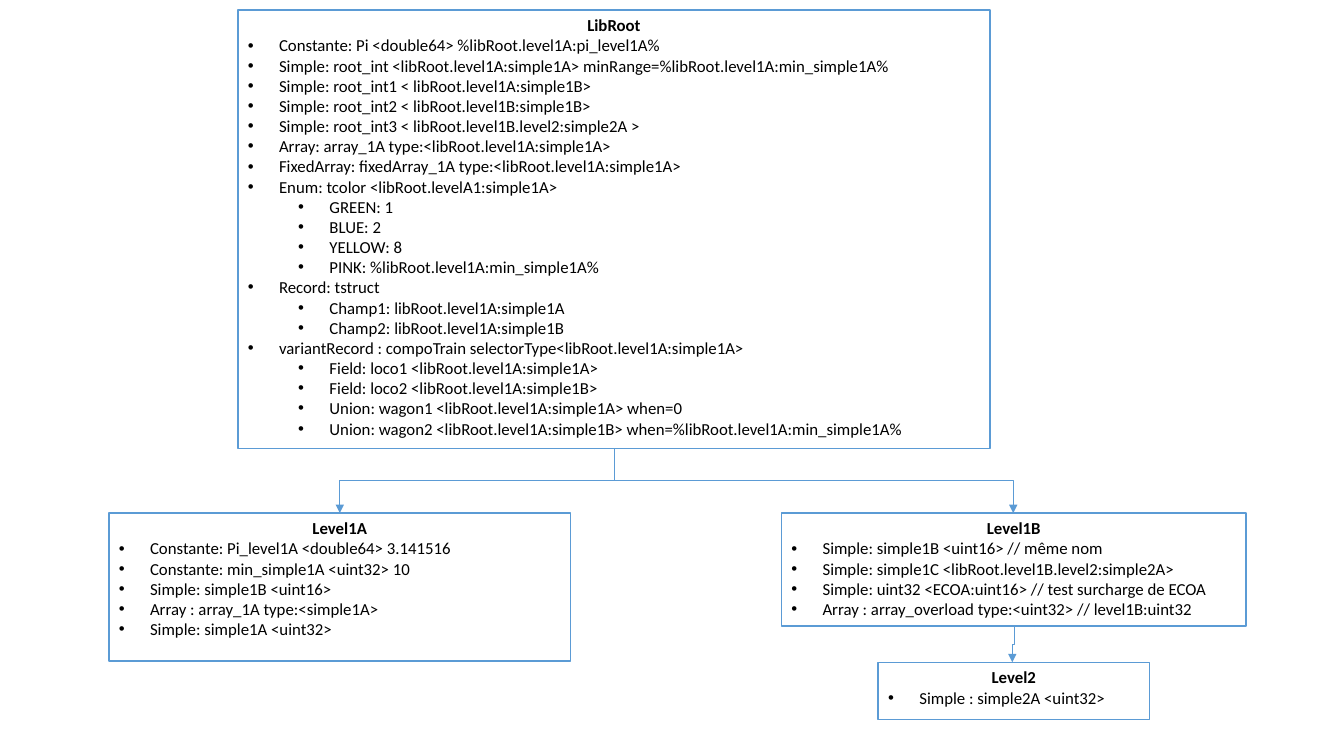
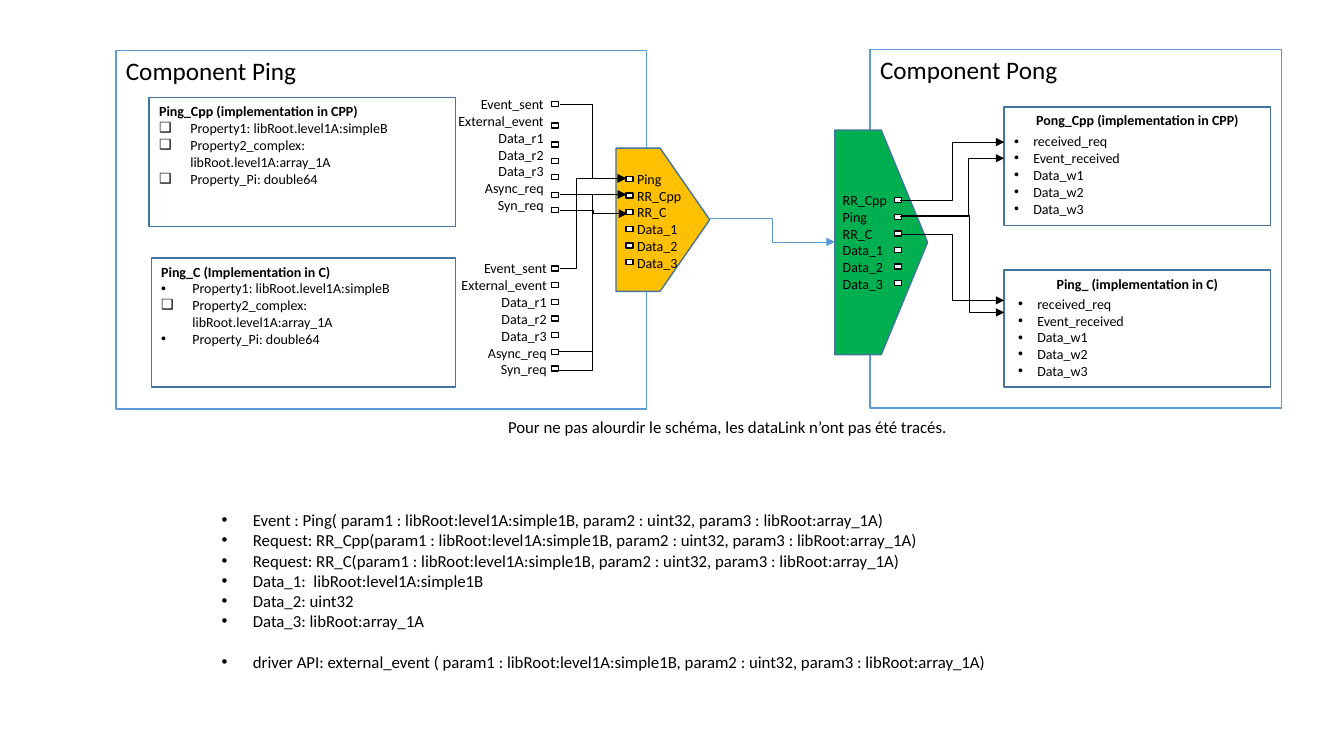
from lxml.etree import SubElement
from pptx import Presentation
from pptx.dml.color import RGBColor
from pptx.enum.shapes import MSO_CONNECTOR, MSO_SHAPE
from pptx.enum.text import MSO_ANCHOR, PP_ALIGN
from pptx.oxml.ns import qn
from pptx.util import Inches, Pt

FONT = "Calibri"
BLACK, WHITE = "000000", "FFFFFF"
BLUE, NAVY = "5B9BD5", "43739E"
ORANGE, GREEN = "FFC000", "00B050"
DOT, SQUARE = "•", "❑"
LIST_INDENT, NARROW_INDENT, LEVEL_STEP = 0.31, 0.19, 0.5
PORT_WIDTH, PORT_HEIGHT, PORT_PITCH = 0.07, 0.05, 0.165

LIBROOT = [
    "Constante: Pi <double64> %libRoot.level1A:pi_level1A%",
    "Simple: root_int <libRoot.level1A:simple1A> minRange=%libRoot.level1A:min_simple1A%",
    "Simple: root_int1 < libRoot.level1A:simple1B>",
    "Simple: root_int2 < libRoot.level1B:simple1B>",
    "Simple: root_int3 < libRoot.level1B.level2:simple2A >",
    "Array: array_1A type:<libRoot.level1A:simple1A>",
    "FixedArray: fixedArray_1A type:<libRoot.level1A:simple1A>",
    "Enum: tcolor <libRoot.levelA1:simple1A>",
    ["GREEN: 1", "BLUE: 2", "YELLOW: 8", "PINK: %libRoot.level1A:min_simple1A%"],
    "Record: tstruct",
    ["Champ1: libRoot.level1A:simple1A", "Champ2: libRoot.level1A:simple1B"],
    "variantRecord : compoTrain selectorType<libRoot.level1A:simple1A>",
    [
        "Field: loco1 <libRoot.level1A:simple1A>",
        "Field: loco2 <libRoot.level1A:simple1B>",
        "Union: wagon1 <libRoot.level1A:simple1A> when=0",
        "Union: wagon2 <libRoot.level1A:simple1B> when=%libRoot.level1A:min_simple1A%",
    ],
]
LEVEL1A = [
    "Constante: Pi_level1A <double64> 3.141516",
    "Constante: min_simple1A <uint32> 10",
    "Simple: simple1B <uint16>",
    "Array : array_1A type:<simple1A>",
    "Simple: simple1A <uint32>",
]
LEVEL1B = [
    "Simple: simple1B <uint16> // même nom",
    "Simple: simple1C <libRoot.level1B.level2:simple2A>",
    "Simple: uint32 <ECOA:uint16> // test surcharge de ECOA",
    "Array : array_overload type:<uint32> // level1B:uint32",
]
LEVEL2 = ["Simple : simple2A <uint32>"]

PROPERTIES = [
    "Property1: libRoot.level1A:simpleB",
    "Property2_complex: libRoot.level1A:array_1A",
    "Property_Pi: double64",
]
PING_SERVICES = ["Event_sent", "External_event", "Data_r1", "Data_r2", "Data_r3",
                 "Async_req", "Syn_req"]
PONG_SERVICES = ["received_req", "Event_received", "Data_w1", "Data_w2", "Data_w3"]
DATA = ["Data_1", "Data_2", "Data_3"]
OPERATIONS = [
    "Event : Ping( param1 : libRoot:level1A:simple1B, param2 : uint32, param3 : libRoot:array_1A)",
    "Request: RR_Cpp(param1 : libRoot:level1A:simple1B, param2 : uint32, param3 : libRoot:array_1A)",
    "Request: RR_C(param1 : libRoot:level1A:simple1B, param2 : uint32, param3 : libRoot:array_1A)",
    "Data_1:  libRoot:level1A:simple1B",
    "Data_2: uint32",
    "Data_3: libRoot:array_1A",
]
DRIVER = ("driver API: external_event ( param1 : libRoot:level1A:simple1B, "
          "param2 : uint32, param3 : libRoot:array_1A)")


def color(value):
    return RGBColor.from_string(value)


def write(shape, text, size=12, bold=False, align=PP_ALIGN.LEFT, mark=None,
          level=0, indent=LIST_INDENT, before=0):
    frame = shape.text_frame
    paragraph = frame.paragraphs[0]
    if paragraph.runs:
        paragraph = frame.add_paragraph()
    paragraph.alignment = align
    paragraph.level = level
    paragraph.space_before = Pt(before)
    run = paragraph.add_run()
    run.text = text
    run.font.name = FONT
    run.font.size = Pt(size)
    run.font.bold = bold
    run.font.color.rgb = color(BLACK)
    if mark:
        properties = paragraph._p.get_or_add_pPr()
        properties.set("marL", str(Inches(indent + LEVEL_STEP * level)))
        properties.set("indent", str(-Inches(indent)))
        SubElement(properties, qn("a:buFont")).set("typeface", "Arial")
        SubElement(properties, qn("a:buChar")).set("char", mark)


def write_list(shape, items, level=0, **style):
    for item in items:
        if isinstance(item, list):
            write_list(shape, item, level + 1, **style)
        else:
            write(shape, item, level=level, **style)


def add_box(slide, position, fill=None, line=BLUE, kind=MSO_SHAPE.RECTANGLE):
    shape = slide.shapes.add_shape(kind, *map(Inches, position))
    shape.shadow.inherit = False
    if fill:
        shape.fill.solid()
        shape.fill.fore_color.rgb = color(fill)
    else:
        shape.fill.background()
    shape.line.color.rgb = color(line)
    shape.line.width = Pt(1)
    shape.text_frame.word_wrap = True
    shape.text_frame.vertical_anchor = MSO_ANCHOR.TOP
    return shape


def add_text(slide, position, items, **style):
    shape = slide.shapes.add_textbox(*map(Inches, position))
    shape.text_frame.word_wrap = True
    write_list(shape, items, **style)
    return shape


def add_library(slide, position, title, items):
    shape = add_box(slide, position, fill=WHITE)
    write(shape, title, bold=True, align=PP_ALIGN.CENTER)
    write_list(shape, items, mark=DOT)


def add_component(slide, position, title):
    write(add_box(slide, position), title, size=18)


def add_ping_implementation(slide, position, title, marks):
    shape = add_box(slide, position, line=NAVY)
    write(shape, title, size=10, bold=True)
    for text, mark in zip(PROPERTIES, marks):
        write(shape, text, size=10, mark=mark)


def add_pong_implementation(slide, position, title, list_position):
    shape = add_box(slide, position, line=NAVY)
    write(shape, title, size=10, bold=True, align=PP_ALIGN.CENTER)
    add_text(slide, list_position, PONG_SERVICES, size=10, mark=DOT, indent=NARROW_INDENT)


def add_gate(slide, position, fill, point):
    shape = add_box(slide, position, fill, NAVY, MSO_SHAPE.PENTAGON)
    shape.adjustments[0] = point


def pitched(top, count):
    return [top + PORT_PITCH * row for row in range(count)]


def add_ports(slide, left, tops):
    for top in tops:
        add_box(slide, (left, top, PORT_WIDTH, PORT_HEIGHT), WHITE, BLACK)


def add_elbow(slide, start, end, line=BLACK, bend=0.5, vertical=False):
    points = [start, end]
    turn = 1 if end[0] < start[0] else -1
    if vertical:
        middle_x, middle_y = (start[0] + end[0]) / 2, (start[1] + end[1]) / 2
        points = [(middle_x + turn * (y - middle_y), middle_y - turn * (x - middle_x))
                  for x, y in points]
    connector = slide.shapes.add_connector(
        MSO_CONNECTOR.ELBOW, *[Inches(value) for point in points for value in point])
    connector.line.color.rgb = color(line)
    connector.line.width = Pt(0.5)
    properties = connector._element.spPr
    if vertical:
        properties.find(qn("a:xfrm")).set("rot", str(turn * 90 % 360 * 60000))
    guides = properties.find(qn("a:prstGeom")).find(qn("a:avLst"))
    guide = SubElement(guides, qn("a:gd"))
    guide.set("name", "adj1")
    guide.set("fmla", f"val {round(bend * 100000)}")
    SubElement(properties.find(qn("a:ln")), qn("a:tailEnd")).set("type", "triangle")
    SubElement(properties, qn("a:effectLst"))


def build_library_slide(slide):
    add_library(slide, (8.71, 6.57, 2.69, 0.57), "Level2", LEVEL2)
    add_library(slide, (7.75, 5.09, 4.61, 1.12), "Level1B", LEVEL1B)
    add_library(slide, (1.08, 5.09, 4.58, 1.47), "Level1A", LEVEL1A)
    add_library(slide, (2.36, 0.1, 7.46, 4.35), "LibRoot", LIBROOT)
    for start, end in [((6.09, 4.45), (3.37, 5.09)),
                       ((6.09, 4.45), (10.05, 5.09)),
                       ((10.06, 6.22), (10.04, 6.57))]:
        add_elbow(slide, start, end, BLUE, vertical=True)


def build_component_slide(slide):
    add_component(slide, (1.15, 0.5, 5.26, 3.56), "Component Ping")
    add_component(slide, (8.63, 0.49, 4.08, 3.56), "Component Pong")
    add_ping_implementation(slide, (1.48, 0.97, 3.04, 1.28),
                            "Ping_Cpp (implementation in CPP)", [SQUARE] * 3)
    add_ping_implementation(slide, (1.5, 2.56, 3.02, 1.28),
                            "Ping_C (Implementation in C)", [DOT, SQUARE, DOT])
    add_pong_implementation(slide, (9.96, 1.06, 2.64, 1.18),
                            "Pong_Cpp (implementation in CPP)", (9.96, 1.27, 1.32, 0.94))
    add_pong_implementation(slide, (9.96, 2.68, 2.64, 1.16),
                            "Ping_ (implementation in C)", (10, 2.88, 1.47, 0.94))

    add_gate(slide, (6.11, 1.47, 0.93, 1.42), ORANGE, 0.53)
    add_gate(slide, (8.28, 1.29, 0.92, 2.23), GREEN, 0.5)
    add_text(slide, (6.22, 1.64, 0.78, 1.11), ["Ping", "RR_Cpp", "RR_C"] + DATA, size=10)
    add_text(slide, (8.26, 1.85, 0.78, 1.11), ["RR_Cpp", "Ping", "RR_C"] + DATA, size=10)
    for position in [(4, 0.9, 1.49, 1.28), (4.14, 2.53, 1.38, 1.28)]:
        add_text(slide, position, PING_SERVICES, size=10, align=PP_ALIGN.RIGHT)

    add_ports(slide, 5.47, [1.01, 1.22, 1.41, 1.57, 1.73, 1.91, 2.06])
    add_ports(slide, 5.47, pitched(2.64, 7))
    add_ports(slide, 6.21, pitched(1.75, 6))
    add_ports(slide, 8.87, pitched(1.96, 6))

    add_elbow(slide, (7.04, 2.17), (8.28, 2.4), BLUE)
    for start, end, bend in [
        ((5.55, 1.04), (6.21, 1.77), 0.5),
        ((5.55, 1.93), (6.21, 1.93), 0.5),
        ((5.55, 2.09), (6.22, 2.12), 0.5),
        ((5.55, 2.66), (6.21, 1.77), 0.25),
        ((5.54, 3.49), (6.21, 1.93), 0.5),
        ((5.54, 3.67), (6.22, 2.12), 0.5),
        ((8.93, 1.99), (9.96, 1.41), 0.5),
        ((8.93, 2.15), (9.96, 1.57), 0.66),
        ((8.94, 2.14), (9.96, 3.1), 0.66),
        ((8.94, 2.33), (9.96, 2.98), 0.5),
    ]:
        add_elbow(slide, start, end, bend=bend)

    add_text(slide, (4.94, 4.09, 5.58, 0.3),
             ["Pour ne pas alourdir le schéma, les dataLink n’ont pas été tracés."])
    operations = add_text(slide, (2.1, 5.01, 7.9, 1.92), OPERATIONS, mark=DOT)
    write(operations, DRIVER, mark=DOT, before=14.6)


def main():
    presentation = Presentation()
    presentation.slide_width = Inches(13.33)
    presentation.slide_height = Inches(7.5)
    blank_layout = presentation.slide_layouts[6]
    for build in (build_library_slide, build_component_slide):
        build(presentation.slides.add_slide(blank_layout))
    presentation.save("out.pptx")


if __name__ == "__main__":
    main()
